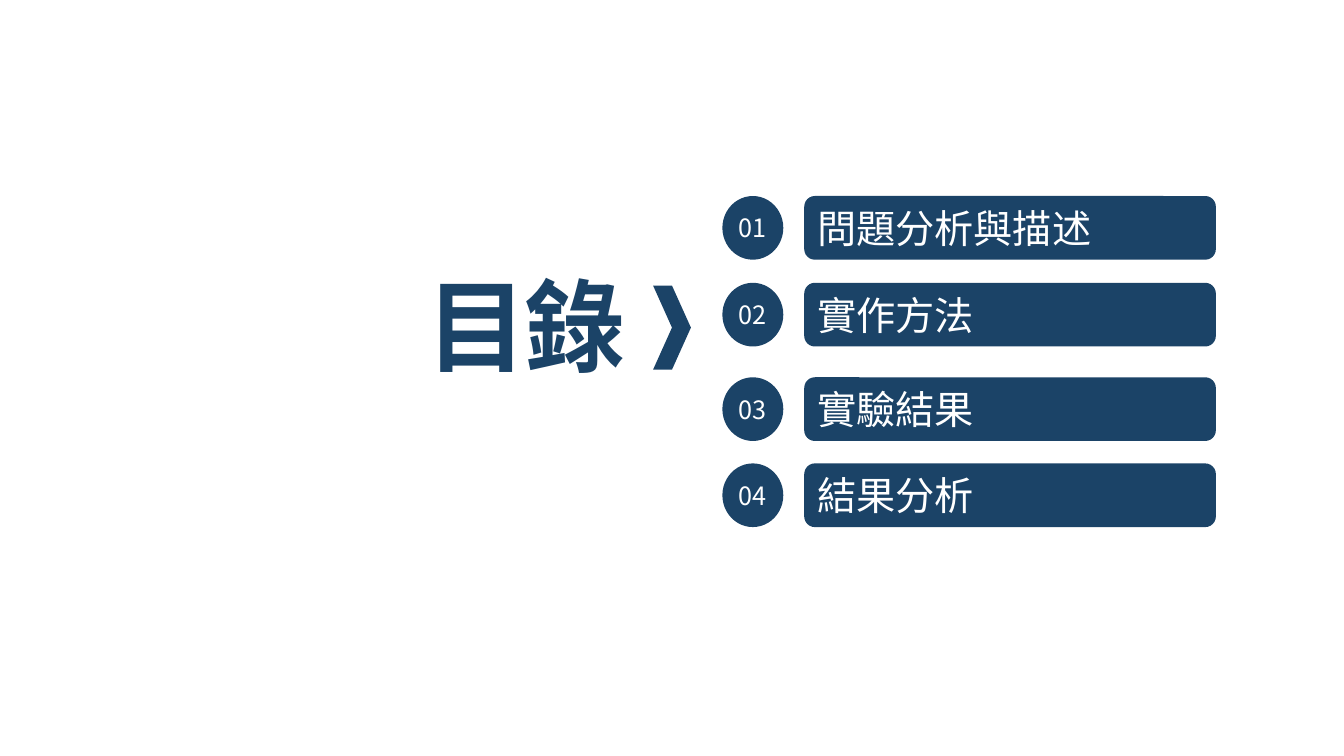
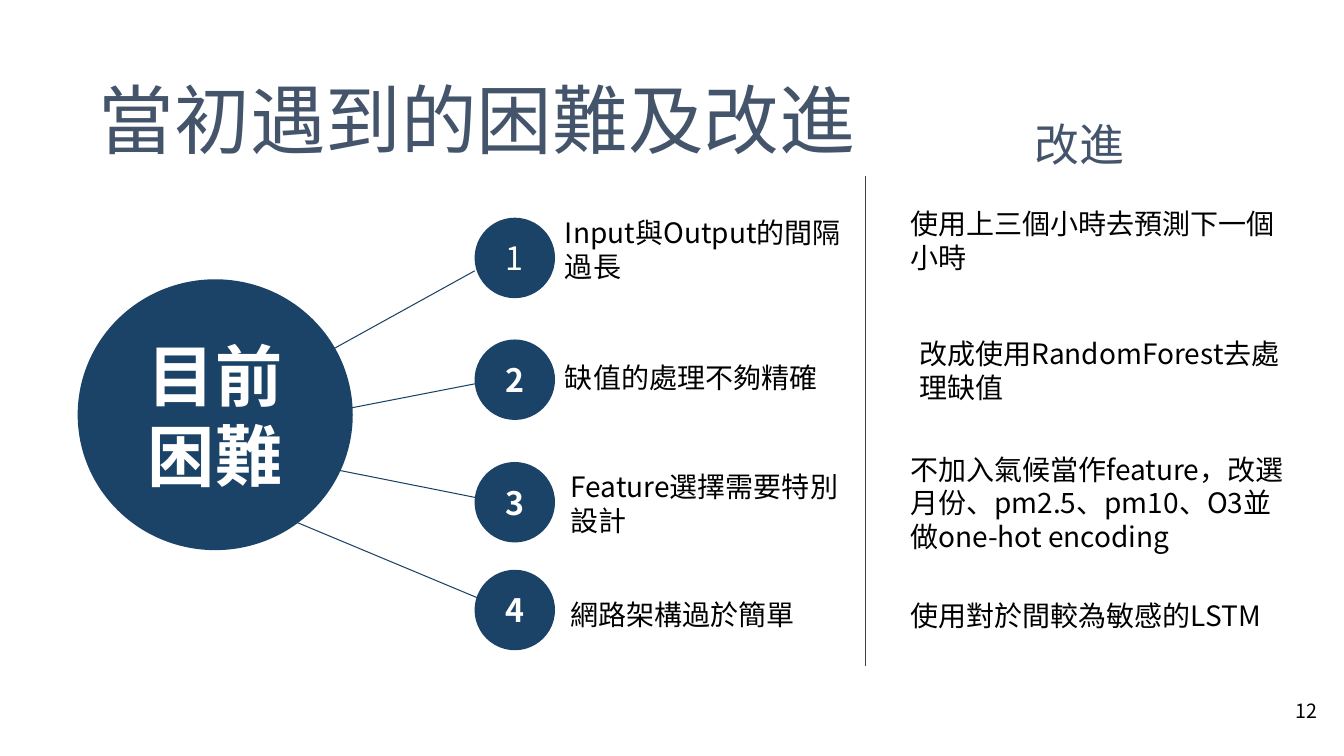
"""Build a contents slide and a slide pairing difficulties with improvements."""
from dataclasses import dataclass

from lxml.etree import SubElement
from pptx import Presentation
from pptx.dml.color import RGBColor as Rgb
from pptx.enum.shapes import MSO_CONNECTOR as Connector, MSO_SHAPE as Shape
from pptx.enum.text import MSO_ANCHOR as Anchor, PP_ALIGN as Align
from pptx.oxml.ns import qn
from pptx.util import Pt


@dataclass(frozen=True)
class Theme:
    font: str = "Noto Sans CJK SC"
    navy: Rgb = Rgb(0x1B, 0x43, 0x67)
    slate: Rgb = Rgb(0x44, 0x54, 0x6A)
    rule: Rgb = Rgb(0x40, 0x40, 0x40)
    white: Rgb = Rgb(0xFF, 0xFF, 0xFF)
    black: Rgb = Rgb(0, 0, 0)
    contents: int = 72
    title: int = 54
    hub: int = 48
    heading: int = 32
    chapter: int = 28
    step: int = 23
    body: int = 20
    index: int = 18
    page: int = 14


theme = Theme()


def write(shape, text, size=theme.body, color=theme.black, bold=False,
          align=Align.LEFT, anchor=Anchor.TOP, side=7.2, tracking=0):
    frame = shape.text_frame
    frame.text = text
    frame.word_wrap = True
    frame.vertical_anchor = anchor
    frame.margin_left = frame.margin_right = Pt(side)
    frame.margin_top = frame.margin_bottom = Pt(3.6)
    for paragraph in frame.paragraphs:
        paragraph.alignment = align
        paragraph.line_spacing = 1.0
        paragraph.space_before = Pt(0)
        for run in paragraph.runs:
            run.font.name = theme.font
            run.font.size = Pt(size)
            run.font.bold = bold
            run.font.color.rgb = color
            properties = run.font._element
            SubElement(properties, qn("a:ea")).set("typeface", theme.font)
            if tracking:
                properties.set("spc", str(round(tracking * 100)))


def draw(slide, preset, left, top, width, height):
    shape = slide.shapes.add_shape(preset, Pt(left), Pt(top), Pt(width), Pt(height))
    shape.shadow.inherit = False
    shape.fill.solid()
    shape.fill.fore_color.rgb = theme.navy
    shape.line.fill.background()
    return shape


deck = Presentation()
deck.slide_width, deck.slide_height = Pt(960), Pt(540)
title_only = deck.slide_layouts[5]
contents, difficulties = [deck.slides.add_slide(title_only) for _ in range(2)]

titles = [
    (contents, "目錄", (297.5, 185, 169, 94.5),
     dict(size=theme.contents, color=theme.navy, bold=True, tracking=-2.2)),
    (difficulties, "當初遇到的困難及改進", (63.5, 48.5, 558.5, 72.5),
     dict(size=theme.title, color=theme.slate)),
]
for slide, wording, place, style in titles:
    heading = slide.shapes.title
    heading.left, heading.top, heading.width, heading.height = map(Pt, place)
    write(heading, wording, **style)

draw(contents, Shape.CHEVRON, 466.5, 204, 27, 60)
chapters = [("問題分析與描述", 140), ("實作方法", 202),
            ("實驗結果", 269.5), ("結果分析", 331)]
for number, (chapter, top) in enumerate(chapters, 1):
    badge = draw(contents, Shape.OVAL, 516, top, 43.5, 45.5)
    write(badge, f"{number:02}", size=theme.index, color=theme.white,
          align=Align.CENTER, anchor=Anchor.MIDDLE, side=0)
    bar = draw(contents, Shape.ROUNDED_RECTANGLE, 574.5, top, 294, 45.5)
    write(bar, chapter, size=theme.chapter, color=theme.white, anchor=Anchor.MIDDLE)

spokes = [(234, 251.5, 339, 193.5), (242.5, 293, 353, 271.5),
          (242.5, 336, 360.5, 359.5), (204.5, 370, 353, 432)]
divider = (618.5, 126, 618.5, 476)
for ends, color in [(spoke, theme.navy) for spoke in spokes] + [(divider, theme.rule)]:
    line = difficulties.shapes.add_connector(Connector.STRAIGHT, *map(Pt, ends))
    line.line.color.rgb = color
    line.line.width = Pt(0.75)
    SubElement(line._element.spPr, qn("a:effectLst"))

hub = draw(difficulties, Shape.OVAL, 55.5, 199.5, 196.5, 193.5)
write(hub, "目前\n困難", size=theme.hub, color=theme.white, bold=True,
      align=Align.CENTER, anchor=Anchor.MIDDLE, side=0)

for number, top in enumerate((155.5, 242.5, 330, 407), 1):
    step = draw(difficulties, Shape.OVAL, 339, top, 57.5, 57.5)
    write(step, str(number), size=theme.step, color=theme.white, bold=number > 1,
          align=Align.CENTER, anchor=Anchor.MIDDLE, side=0)

centered = dict(size=theme.heading, color=theme.slate)
notes = [
    ("Input與Output的間隔過長", 396.5, 150.5, 222, 55.5, {}),
    ("缺值的處理不夠精確", 396.5, 254, 222, 31.5, {}),
    ("Feature選擇需要特別設計", 400.5, 332, 222, 55.5, {}),
    ("網路架構過於簡單", 400.5, 423.5, 222, 31.5, {}),
    ("改進", 732, 80, 96.5, 46, centered),
    ("使用上三個小時去預測下一個小時", 643, 144, 291, 55.5, {}),
    ("改成使用RandomForest去處理缺值", 649.5, 237, 291, 55.5, {}),
    ("不加入氣候當作feature，改選月份、pm2.5、pm10、O3並做one-hot encoding",
     643, 319.5, 291, 80, {}),
    ("使用對於間較為敏感的LSTM", 643, 424, 291, 31.5, {}),
    ("12", 823.5, 495.5, 124.5, 24.5, dict(size=theme.page, align=Align.RIGHT)),
]
for wording, left, top, width, height, style in notes:
    note = difficulties.shapes.add_textbox(Pt(left), Pt(top), Pt(width), Pt(height))
    write(note, wording, **style)

deck.save("out.pptx")
